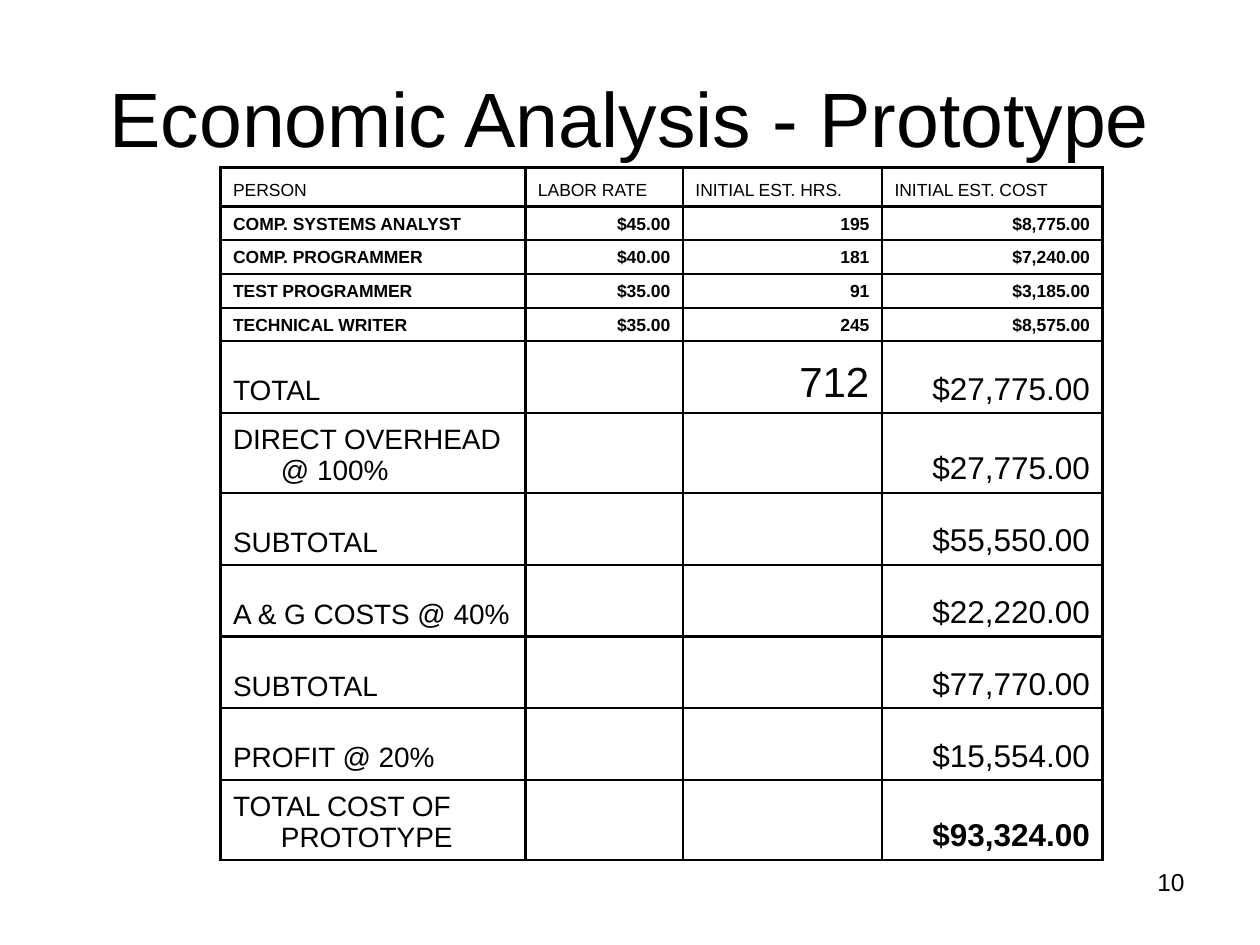
import pptx
import pptx.dml.color
import pptx.enum.text
import pptx.oxml
import pptx.oxml.ns
import pptx.util

Inches, Pt = pptx.util.Inches, pptx.util.Pt
ALIGN = pptx.enum.text.PP_ALIGN
ANCHOR = pptx.enum.text.MSO_ANCHOR
INK = "000000"
BORDER_WIDTH = Pt(1.47)
HANGING = Inches(0.38)


def write(frame, text, size, align, bold=False):
    """Put one styled paragraph in a text frame and return it."""
    para = frame.paragraphs[0]
    para.text = text
    para.alignment = align
    para.font.name = "Arial"
    para.font.size = Pt(size)
    para.font.bold = bold
    para.font.color.rgb = pptx.dml.color.RGBColor.from_string(INK)
    return para


deck = pptx.Presentation()
deck.slide_width, deck.slide_height = Inches(10), Inches(7.5)
page = deck.slides.add_slide(deck.slide_layouts[6])

# Title and page number
for text, size, align, anchor, bounds in [
    ("Economic Analysis - Prototype", 44, ALIGN.CENTER, ANCHOR.MIDDLE, (0.5, 0.3, 9, 1.25)),
    ("10", 14, ALIGN.RIGHT, ANCHOR.TOP, (7.17, 6.83, 2.33, 0.52)),
]:
    box = page.shapes.add_textbox(*map(Inches, bounds))
    box.text_frame.word_wrap = True
    box.text_frame.vertical_anchor = anchor
    write(box.text_frame, text, size, align)

# Cost table: a heading, the people, then the summary lines
heading = ("PERSON", "LABOR RATE", "INITIAL EST. HRS.", "INITIAL EST. COST")
people = [
    ("COMP. SYSTEMS ANALYST", "$45.00", "195", "$8,775.00"),
    ("COMP. PROGRAMMER", "$40.00", "181", "$7,240.00"),
    ("TEST PROGRAMMER", "$35.00", "91", "$3,185.00"),
    ("TECHNICAL WRITER", "$35.00", "245", "$8,575.00"),
]
summary = [
    ("TOTAL", "", "712", "$27,775.00"),
    ("DIRECT OVERHEAD @ 100%", "", "", "$27,775.00"),
    ("SUBTOTAL", "", "", "$55,550.00"),
    ("A & G COSTS @ 40%", "", "", "$22,220.00"),
    ("SUBTOTAL", "", "", "$77,770.00"),
    ("PROFIT @ 20%", "", "", "$15,554.00"),
    ("TOTAL COST OF PROTOTYPE", "", "", "$93,324.00"),
]
rows = [heading] + people + summary
first_summary = 1 + len(people)
last = len(rows) - 1
two_line_rows = (first_summary + 1, last)
column_widths = (2.42, 1.25, 1.58, 1.75)

table = page.shapes.add_table(
    len(rows), len(heading), Inches(1.75), Inches(1.33), Inches(7), Inches(5.47)
).table
table.first_row = table.horz_banding = False
for column, width in zip(table.columns, column_widths):
    column.width = Inches(width)

for r, values in enumerate(rows):
    if r == 0:
        height, sizes = 0.31, (10, 10, 10, 10)
    elif r < first_summary:
        height, sizes = 0.265, (10, 10, 10, 10)
    else:
        height, sizes = 0.63 if r in two_line_rows else 0.57, (16, 16, 24, 18)
    table.rows[r].height = Inches(height)

    for c, (text, size) in enumerate(zip(values, sizes)):
        cell = table.cell(r, c)
        cell.vertical_anchor = ANCHOR.BOTTOM
        cell.fill.background()
        bold = 0 < r < first_summary or (r == last and c == 3)
        align = ALIGN.LEFT if r == 0 or c == 0 else ALIGN.RIGHT
        if text:
            properties = write(cell.text_frame, text, size, align, bold)._p.get_or_add_pPr()
            properties.set("marL", str(HANGING))
            properties.set("indent", str(-HANGING))
        for position, side in enumerate("LRTB"):
            border = pptx.oxml.parse_xml(
                f'<a:ln{side} {pptx.oxml.ns.nsdecls("a")} w="{BORDER_WIDTH}">'
                f'<a:solidFill><a:srgbClr val="{INK}"/></a:solidFill></a:ln{side}>'
            )
            cell._tc.get_or_add_tcPr().insert(position, border)

deck.save("out.pptx")
